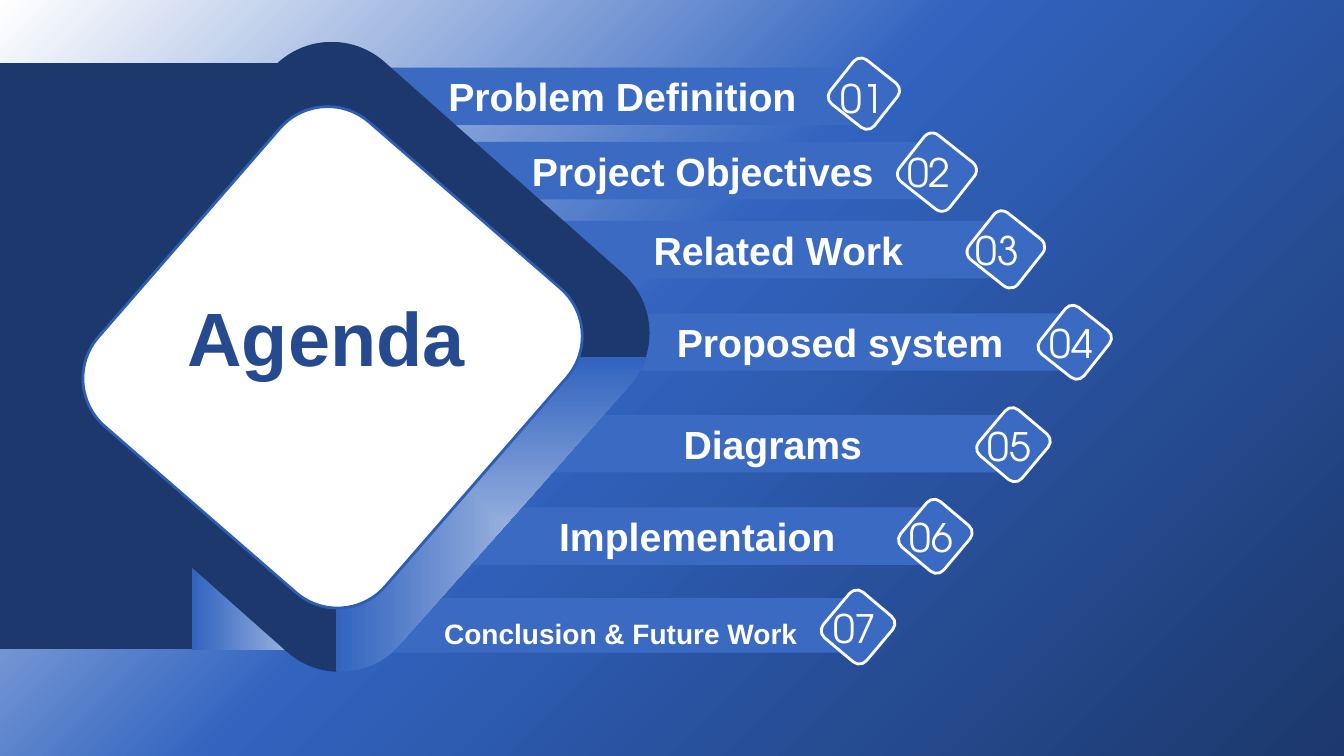
from pptx import Presentation
from pptx import util as u
from pptx.dml.color import RGBColor
from pptx.enum import shapes, text
from pptx.oxml import parse_xml
from pptx.oxml.ns import nsdecls, qn

W, H = u.Inches(13.33), u.Inches(7.5)
COLS, ROWS = 160, 90
COLOURS = {"bar": "3A6AC2", "white": "FFFFFF", "blue": "3163BF", "navy": "1C386C",
           "edge": "2E5DB4", "title": "254A8F"}
BAR_TEXT = {"name": "Arial", "size": u.Pt(28), "bold": True}
LAST_BAR_TEXT = {**BAR_TEXT, "size": u.Pt(20)}
NUMBER_TEXT = {"name": "TeX Gyre Adventor", "size": u.Pt(28)}
TITLE_TEXT = {"name": "Arial", "size": u.Pt(54), "bold": True}
FRAME_STOPS = ((0, "white"), (100, "blue"), (100, "navy"))
PAGE_STOPS = ((0, "white"), (46, "blue"), (100, "navy"))

BAR_H, LAST_BAR_H = 6.84, 6.5
# label, bar (left, top, width), badge (left, top, width, height), number shift (x, y)
AGENDA = [
    ("Problem Definition", (45.7, 8.04, 56.8), (99.5, 7.8, 6.7, 6.7), (-0.6, 0.4)),
    ("Project Objectives", (55.8, 16.9, 55.7), (108, 16.7, 7.1, 7.6), (-1.2, 0.4)),
    ("Related Work", (65.3, 26.3, 54.7), (116.2, 26, 7.1, 7.4), (-1.2, 0.4)),
    ("Proposed system", (72.1, 37.3, 55.8), (124.4, 37.4, 7.1, 6.7), (-0.6, 0)),
    ("Diagrams", (63.4, 49.4, 57.2), (117.1, 49.6, 7.1, 6.7), (-0.7, 0.1)),
    ("Implementaion", (54.7, 60.4, 56.6), (107.8, 60.5, 7.1, 6.7), (-0.7, 0)),
    ("Conclusion & Future Work", (45.6, 71.2, 56.6), (98.6, 71.3, 7.1, 6.7), (-0.6, 0)),
]


def rgb(name):
    return RGBColor.from_string(COLOURS[name])


def cells(left, top, width, height):
    """Turn grid columns and rows into lengths."""
    return (round(left * W / COLS), round(top * H / ROWS),
            round(width * W / COLS), round(height * H / ROWS))


def set_gradient(fill, owner, stops, shape, corner):
    """Give a fill a path gradient that spreads from one corner."""
    fill.gradient()
    old = next(owner.iter(qn("a:gradFill")))
    marks = "".join(f'<a:gs pos="{pos * 1000}"><a:srgbClr val="{COLOURS[c]}"/></a:gs>'
                    for pos, c in stops)
    rect = " ".join(f'{side}="{share * 1000}"' for side, share in zip("ltrb", corner))
    old.getparent().replace(old, parse_xml(
        f'<a:gradFill {nsdecls("a")} rotWithShape="0"><a:gsLst>{marks}</a:gsLst>'
        f'<a:path path="{shape}"><a:fillToRect {rect}/></a:path></a:gradFill>'))


def write(sp, words, fmt, colour, align, anchor):
    tf = sp.text_frame
    tf.text = words
    for key, value in {"word_wrap": True, "vertical_anchor": anchor,
                       "auto_size": text.MSO_AUTO_SIZE.SHAPE_TO_FIT_TEXT}.items():
        setattr(tf, key, value)
    p = tf.paragraphs[0]
    p.alignment = align
    font = p.runs[0].font
    for key, value in fmt.items():
        setattr(font, key, value)
    font.color.rgb = rgb(colour)
    return p


def add_block(s, kind, place, fill=None, line=None, rotation=0):
    """Add a preset shape; without a fill colour it gets the frame gradient."""
    sp = s.shapes.add_shape(kind, *cells(*place))
    sp.shadow.inherit = False
    sp.rotation = rotation
    if fill:
        sp.fill.solid()
        sp.fill.fore_color.rgb = rgb(fill)
    else:
        set_gradient(sp.fill, sp.element, FRAME_STOPS, "rect", (100, 100, 0, 0))
    if line:
        sp.line.color.rgb = rgb(line)
        sp.line.width = u.Pt(2)
    else:
        sp.line.fill.background()
    return sp


def add_bar(s, label, place, last):
    height = LAST_BAR_H if last else BAR_H
    sp = add_block(s, shapes.MSO_SHAPE.RECTANGLE, (*place, height), "bar")
    p = write(sp, label, LAST_BAR_TEXT if last else BAR_TEXT, "white",
              text.PP_ALIGN.CENTER, text.MSO_ANCHOR.MIDDLE)
    if last:
        p.line_spacing = 1.5
        p.space_after = u.Pt(6)


def add_badge(s, number, place, shift):
    sp = add_block(s, shapes.MSO_SHAPE.ROUNDED_RECTANGLE, place, "bar", "white",
                   308.4 if number <= 4 else 310.1)
    sp.element.spPr.find(qn("a:xfrm")).set("flipV", "1")
    left, top = place[0] + shift[0], place[1] + shift[1]
    box = s.shapes.add_textbox(*cells(left, top, 9, BAR_H))
    write(box, f"{number:02d}", NUMBER_TEXT, "white",
          text.PP_ALIGN.LEFT, text.MSO_ANCHOR.TOP)


def add_frame(s):
    rounded = shapes.MSO_SHAPE.ROUNDED_RECTANGLE
    add_block(s, shapes.MSO_SHAPE.RECTANGLE, (0, 7.44, 45.7, 69.84))
    add_block(s, rounded, (9.84, 14.04, 60.24, 56.88), rotation=311.6)
    add_block(s, rounded, (15.6, 19.92, 48, 45.24), "white", "edge", 311)


def place_title(s):
    """Format the title and bring it in front of the frame."""
    title = s.shapes.title
    title.left, title.top, title.width, title.height = cells(21.1, 34, 48.1, 12.1)
    write(title, "Agenda", TITLE_TEXT, "title", text.PP_ALIGN.LEFT, text.MSO_ANCHOR.TOP)
    title.element.getparent().append(title.element)


def main():
    prs = Presentation()
    prs.slide_width, prs.slide_height = W, H
    s = prs.slides.add_slide(prs.slide_layouts[5])
    set_gradient(s.background.fill, s.element, PAGE_STOPS, "circle", (0, 0, 100, 100))
    for label, bar, _, _ in AGENDA:
        add_bar(s, label, bar, label == AGENDA[-1][0])
    add_frame(s)
    place_title(s)
    for number, (_, _, badge, shift) in enumerate(AGENDA, 1):
        add_badge(s, number, badge, shift)
    prs.save("out.pptx")


if __name__ == "__main__":
    main()
